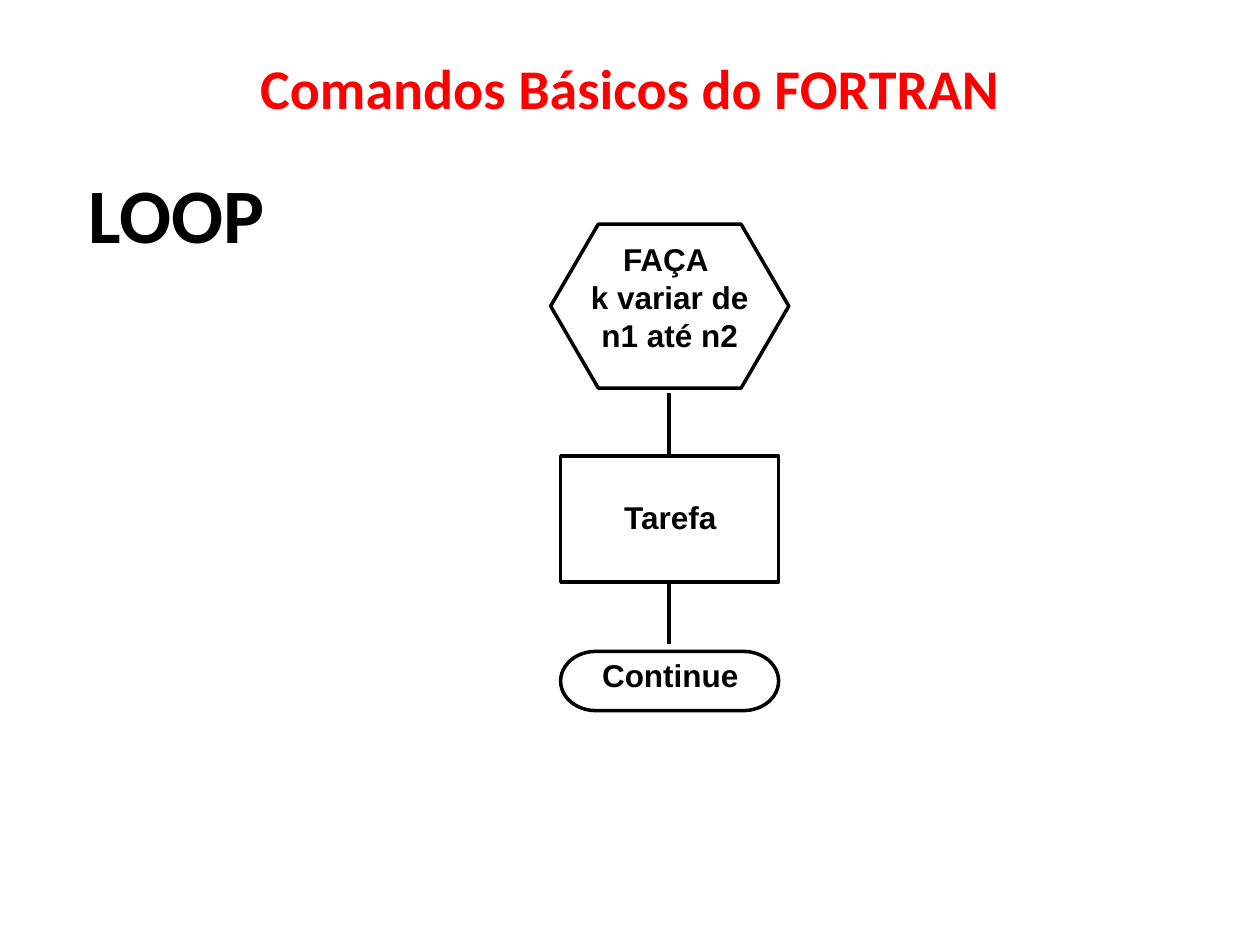
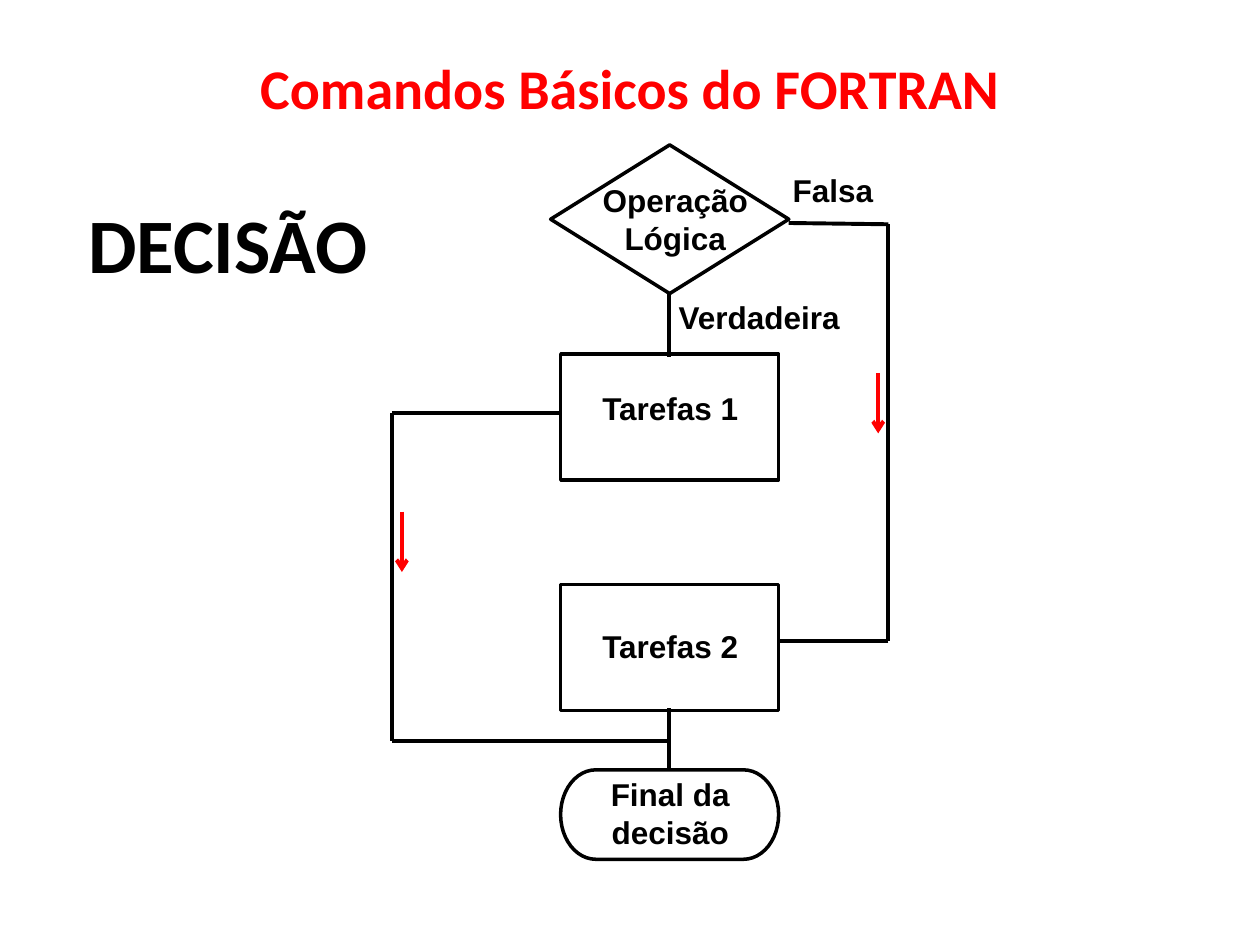
"""Build two flowchart slides on the FORTRAN loop and decision commands."""
from lxml import etree
from pptx import Presentation
from pptx.dml.color import RGBColor
from pptx.enum.shapes import MSO_CONNECTOR, MSO_SHAPE
from pptx.enum.text import MSO_ANCHOR, MSO_AUTO_SIZE, PP_ALIGN
from pptx.oxml.ns import qn
from pptx.util import Emu, Pt

LEFT, CENTER = PP_ALIGN.LEFT, PP_ALIGN.CENTER
TOP, MIDDLE = MSO_ANCHOR.TOP, MSO_ANCHOR.MIDDLE
NO_AUTOSIZE = MSO_AUTO_SIZE.NONE
STRAIGHT = MSO_CONNECTOR.STRAIGHT
TASK = MSO_SHAPE.RECTANGLE
PREPARATION = MSO_SHAPE.FLOWCHART_PREPARATION
DECISION = MSO_SHAPE.FLOWCHART_DECISION
TERMINATOR = MSO_SHAPE.FLOWCHART_TERMINATOR

EMU_PER_PX = 9144
TITLE_ONLY = 5
AXIS = 531
TASK_WIDTH, TASK_HEIGHT = 173, 100
HEAD_WIDTH = 189
LABEL_WIDTH = 142
TITLE = "Comandos Básicos do FORTRAN"
COLORS = {"accent": "FF0000", "ink": "000000", "paper": "FFFFFF"}


def px(*lengths):
    return [Emu(length * EMU_PER_PX) for length in lengths]


def color(name):
    return RGBColor.from_string(COLORS[name])


def write(frame, text, *, font="Arial", size=18, ink="ink", align=CENTER,
          anchor=TOP, inset=10):
    frame.word_wrap = True
    frame.auto_size = NO_AUTOSIZE
    frame.vertical_anchor = anchor
    frame.margin_left, frame.margin_right = px(inset, 10)
    frame.margin_top, frame.margin_bottom = px(5, 5)
    frame.text = text
    for para in frame.paragraphs:
        para.alignment = align
        para.font.name = font
        para.font.size = Pt(size)
        para.font.bold = True
        para.font.color.rgb = color(ink)


class FlowDeck:
    def __init__(self):
        self.deck = Presentation()
        self.deck.slide_width, self.deck.slide_height = px(1000, 750)
        self.page = None

    def add_page(self, heading, heading_top):
        layout = self.deck.slide_layouts[TITLE_ONLY]
        self.page = self.deck.slides.add_slide(layout)
        title = self.page.shapes.title
        title.left, title.top, title.width, title.height = px(50, 30, 900, 79)
        write(title.text_frame, TITLE, font="Calibri", size=32, ink="accent",
              anchor=MIDDLE)
        box = self.page.shapes.add_textbox(*px(50, heading_top, 900, 540))
        write(box.text_frame, heading, font="Calibri", size=44, align=LEFT,
              inset=20)

    def node(self, kind, top, width=TASK_WIDTH, height=TASK_HEIGHT):
        left = AXIS - width // 2
        shape = self.page.shapes.add_shape(kind, *px(left, top, width, height))
        shape.shadow.inherit = False
        shape.fill.solid()
        shape.fill.fore_color.rgb = color("paper")
        shape.line.color.rgb = color("ink")
        shape.line.width = Pt(2)

    def label(self, text, top, left=461, width=LABEL_WIDTH, height=40):
        box = self.page.shapes.add_textbox(*px(left, top, width, height))
        write(box.text_frame, text)

    def line(self, *ends, ink="ink", arrow=False):
        link = self.page.shapes.add_connector(STRAIGHT, *px(*ends))
        link.line.color.rgb = color(ink)
        link.line.width = Pt(2.25)
        properties = link._element.spPr
        etree.SubElement(properties, qn("a:effectLst"))
        if arrow:
            outline = properties.find(qn("a:ln"))
            etree.SubElement(outline, qn("a:tailEnd"), type="arrow")

    def route(self, *points):
        for start, end in zip(points, points[1:]):
            self.line(*start, *end)

    def flow_arrow(self, x, top):
        self.line(x, top, x, top + 48, ink="accent", arrow=True)


def draw_loop(flow):
    flow.add_page("LOOP", 127)
    flow.node(PREPARATION, 178, HEAD_WIDTH, 130)
    flow.label("FAÇA \nk variar de n1 até n2", 186, 453, 157, 100)
    flow.node(TASK, 362)
    flow.node(TERMINATOR, 517, height=47)
    flow.line(AXIS, 312, AXIS, 362)
    flow.line(AXIS, 462, AXIS, 511)
    flow.label("Tarefa", 390)
    flow.label("Continue", 516)


def draw_decision(flow):
    flow.add_page("DECISÃO", 151)
    flow.node(DECISION, 115, HEAD_WIDTH, 118)
    flow.node(TASK, 281)
    flow.node(TASK, 464)
    flow.node(TERMINATOR, 611, height=71)
    flow.line(AXIS, 233, AXIS, 283)
    flow.line(AXIS, 562, AXIS, 611)
    flow.route((626, 177), (705, 178), (705, 509), (618, 509))
    flow.route((445, 328), (311, 328), (311, 588), (AXIS, 588))
    flow.flow_arrow(319, 406)
    flow.flow_arrow(697, 296)
    flow.label("Operação Lógica", 139, 461, 150, 70)
    flow.label("Falsa", 131, 610, 102)
    flow.label("Verdadeira", 232, 524, 157)
    flow.label("Tarefas 1", 304)
    flow.label("Tarefas 2", 493)
    flow.label("Final da decisão", 610, height=70)


def main():
    flow = FlowDeck()
    draw_loop(flow)
    draw_decision(flow)
    flow.deck.save("out.pptx")


if __name__ == "__main__":
    main()
